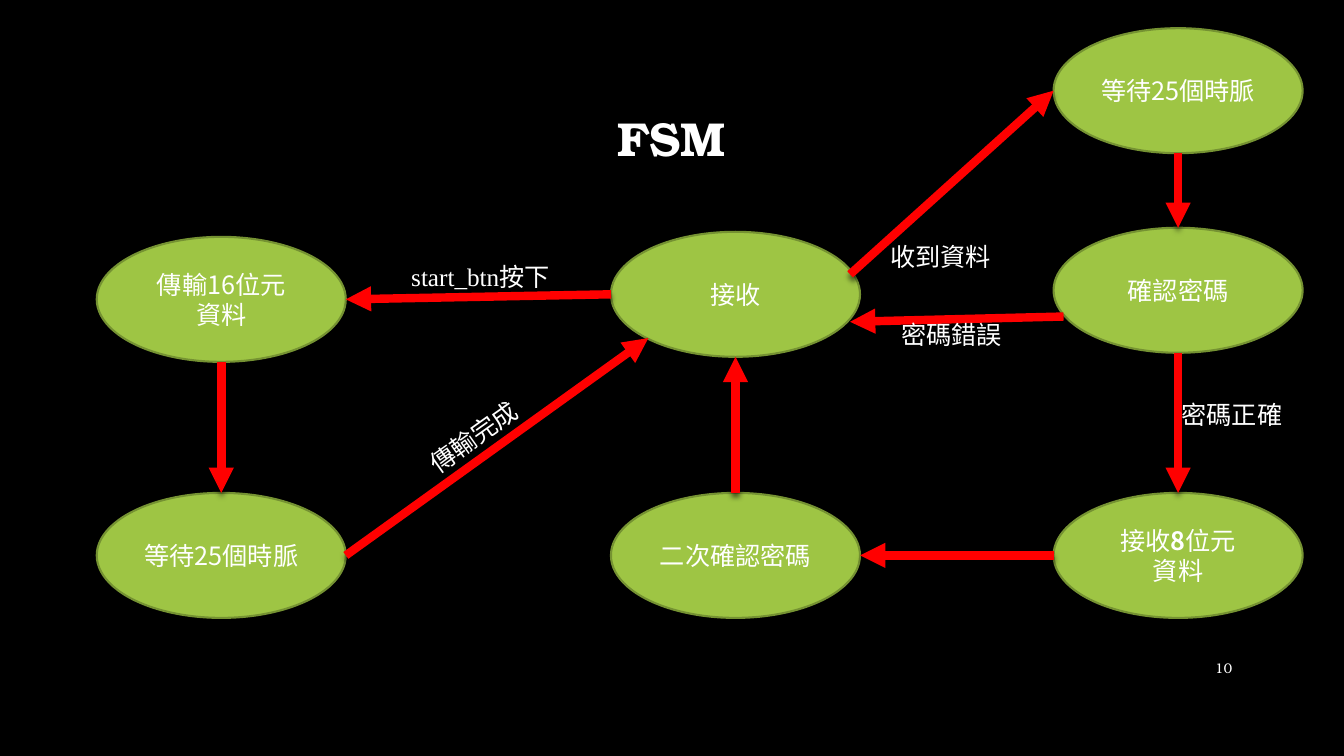
from dataclasses import dataclass

from lxml import etree
from pptx import Presentation
from pptx import util as u
from pptx.dml.color import RGBColor
from pptx.enum import shapes, text
from pptx.oxml import parse_xml
from pptx.oxml.ns import nsdecls, qn


@dataclass(frozen=True)
class Theme:
    """Colours, fonts and type sizes of the slide."""
    back: str = "000000"
    ink: str = "FFFFFF"
    state: str = "9EC544"
    edge: str = "759232"
    arrow: str = "FF0000"
    serif: str = "TeX Gyre Bonum"
    cjk: str = "Noto Sans CJK SC"
    code: str = "Times New Roman"
    title: int = 34
    body: int = 18
    number: int = 10


T = Theme()
CELL = 0.1
STATE_W, STATE_H = 24.7, 12.4
LEFT, MIDDLE, RIGHT = 0, 51, 94.9
TOP, BOTTOM = 0, 46.1

N, W, S, E = (0.5, 0), (0, 0.5), (0.5, 1), (1, 0.5)
SITES = {N: 0, W: 2, S: 4, E: 6}

STATES = {
    "receive": (MIDDLE, 20.2, [["接收"]]),
    "check": (RIGHT, 19.8, [["確認密碼"]]),
    "receive8": (RIGHT, BOTTOM, [["接收", "8", "位元"], ["資料"]]),
    "recheck": (MIDDLE, BOTTOM, [["二次確認密碼"]]),
    "send16": (LEFT, 20.7, [["傳輸16位元"], ["資料"]]),
    "sent_wait": (LEFT, BOTTOM, [["等待25個時脈"]]),
    "received_wait": (RIGHT, TOP, [["等待25個時脈"]]),
}
TRANSITIONS = [
    ("receive", W, "send16", E),
    ("receive", (0.96, 0.34), "received_wait", W),
    ("received_wait", S, "check", N),
    ("check", (0.04, 0.71), "receive", (0.96, 0.72)),
    ("check", S, "receive8", N),
    ("receive8", W, "recheck", E),
    ("recheck", N, "receive", S),
    ("send16", S, "sent_wait", N),
    ("sent_wait", E, "receive", (0.15, 0.85)),
]
LABELS = [
    (77.7, 20.6, 13.8, 0, [("收到資料", T.cjk)]),
    (106.6, 36.3, 13, 0, [("密碼正確", T.cjk)]),
    (78.8, 28.4, 13.8, 0, [("密碼錯誤", T.cjk)]),
    (30.2, 22.6, 15.9, 0, [("start_btn", T.code), ("按下", T.serif)]),
    (31.2, 38, 13.8, 324.5, [("傳輸完成", T.cjk)]),
]


def cells(*counts):
    """Turn grid cells into lengths."""
    return [u.Inches(n * CELL) for n in counts]


def rgb(colour):
    """Turn a hex string into a colour."""
    return RGBColor.from_string(colour)


def add_run(p, words, size, font, bold=False):
    """Append a styled run to a paragraph."""
    r = p.add_run()
    r.text = words
    r.font.size, r.font.name, r.font.bold = u.Pt(size), font, bold
    r.font.color.rgb = rgb(T.ink)
    etree.SubElement(r.font._element, qn("a:ea")).set("typeface", T.cjk)


def add_text(s, box, runs, size, align=text.PP_ALIGN.LEFT, anchor=text.MSO_ANCHOR.TOP, bold=False):
    """Place one paragraph of text in a box given in cells."""
    sp = s.shapes.add_textbox(*cells(*box))
    tf = sp.text_frame
    tf.word_wrap, tf.vertical_anchor = True, anchor
    p = tf.paragraphs[0]
    p.alignment = align
    for words, font in runs:
        add_run(p, words, size, font, bold)
    return sp


def add_state(s, box, lines):
    """Draw one state as an ellipse filling its box."""
    sp = s.shapes.add_shape(shapes.MSO_SHAPE.OVAL, *cells(*box))
    sp.shadow.inherit = False
    sp.fill.solid()
    sp.fill.fore_color.rgb = rgb(T.state)
    sp.line.color.rgb, sp.line.width = rgb(T.edge), u.Pt(1.5)
    tf = sp.text_frame
    tf.word_wrap, tf.vertical_anchor = True, text.MSO_ANCHOR.MIDDLE
    for i, line in enumerate(lines):
        p = tf.add_paragraph() if i else tf.paragraphs[0]
        p.alignment = text.PP_ALIGN.CENTER
        for words in line:
            add_run(p, words, T.body, T.cjk, bold=words.isdigit())
    return sp


def point_on(sp, share):
    """Find the point at a share of a shape's width and height."""
    return int(sp.left + sp.width * share[0]), int(sp.top + sp.height * share[1])


def add_transition(s, source, start, target, end):
    """Draw a shadowed arrow between two states, joined at the side middles."""
    c = s.shapes.add_connector(
        shapes.MSO_CONNECTOR.STRAIGHT, *point_on(source, start), *point_on(target, end))
    c.line.color.rgb, c.line.width = rgb(T.arrow), u.Pt(6)
    etree.SubElement(c.line._get_or_add_ln(), qn("a:tailEnd")).set("type", "triangle")
    c._element.spPr.append(parse_xml(
        f'<a:effectLst {nsdecls("a")}><a:outerShdw blurRad="{u.Pt(4)}" dist="{u.Pt(3)}" '
        f'dir="5400000" rotWithShape="0"><a:srgbClr val="{T.back}"><a:alpha val="54000"/>'
        '</a:srgbClr></a:outerShdw></a:effectLst>'))
    joins = c._element.find(".//" + qn("p:cNvCxnSpPr"))
    for tag, sp, share in (("a:stCxn", source, start), ("a:endCxn", target, end)):
        if share in SITES:
            etree.SubElement(joins, qn(tag), id=str(sp.shape_id), idx=str(SITES[share]))


def add_diagram(s, left, top):
    """Draw states, transitions and labels from the given corner."""
    ovals = {name: add_state(s, (left + x, top + y, STATE_W, STATE_H), lines)
             for name, (x, y, lines) in STATES.items()}
    for source, start, target, end in TRANSITIONS:
        add_transition(s, ovals[source], start, ovals[target], end)
    for x, y, width, turn, runs in LABELS:
        add_text(s, (left + x, top + y, width, 4), runs, T.body).rotation = turn


def add_heading(s, box):
    """Write the slide title."""
    sp = add_text(s, box, [("FSM", T.serif)], T.title,
                  text.PP_ALIGN.CENTER, text.MSO_ANCHOR.MIDDLE, bold=True)
    sp.text_frame.paragraphs[0].line_spacing = 0.9


def add_number(s, box):
    """Write the page number."""
    add_text(s, box, [("10", T.serif)], T.number, text.PP_ALIGN.RIGHT, text.MSO_ANCHOR.MIDDLE)


def main():
    """Build and save the state machine slide."""
    prs = Presentation()
    prs.slide_width, prs.slide_height = u.Inches(13.33), u.Inches(7.5)
    s = prs.slides.add_slide(prs.slide_layouts[6])
    s.background.fill.solid()
    s.background.fill.fore_color.rgb = rgb(T.back)
    add_heading(s, (10, 6.7, 113.2, 14.5))
    add_diagram(s, 9.6, 2.8)
    add_number(s, (115, 64.3, 8.2, 4))
    prs.save("out.pptx")


if __name__ == "__main__":
    main()
